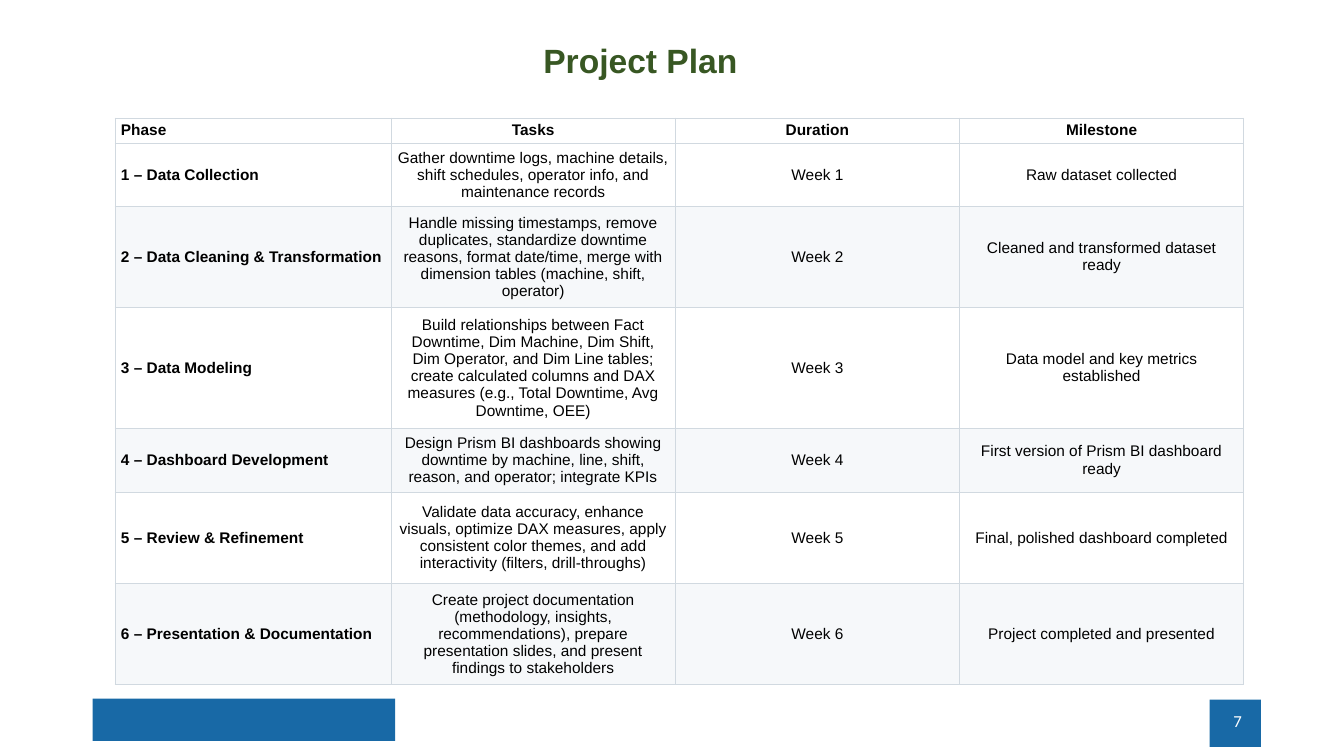
from dataclasses import dataclass

from lxml.etree import SubElement
from pptx import Presentation
from pptx.dml.color import RGBColor
from pptx.enum.shapes import MSO_SHAPE as Preset
from pptx.enum.text import MSO_ANCHOR as Anchor, PP_ALIGN as Align
from pptx.oxml.ns import qn
from pptx.util import Pt

COLORS = {
    "title": "385723",
    "band": "1869A6",
    "text": "000000",
    "white": "FFFFFF",
    "stripe": "F6F8FA",
    "border": "D1D9E0",
}


@dataclass(frozen=True)
class Area:
    left: float
    top: float
    width: float
    height: float

    def points(self) -> tuple:
        return Pt(self.left), Pt(self.top), Pt(self.width), Pt(self.height)


@dataclass(frozen=True)
class PlanRow:
    height: float
    phase: str
    tasks: str
    duration: str
    milestone: str

    def texts(self) -> tuple:
        return self.phase, self.tasks, self.duration, self.milestone


BANDS = [Area(66.24, 499, 216, 30.24), Area(864, 499.68, 36.72, 33.84)]
TITLE_AREA = Area(380.88, 25.2, 154.8, 36)
NUMBER_AREA = Area(678.24, 500.4, 216, 28.8)
TABLE_AREA = Area(82.08, 84.24, 806.4, 404.64)
COLUMN_WIDTHS = [197.28, 203.04, 203.04, 203.04]
PLAN = [
    PlanRow(18, "Phase", "Tasks", "Duration", "Milestone"),
    PlanRow(45.36, "1 – Data Collection",
            "Gather downtime logs, machine details, shift schedules, operator info, "
            "and maintenance records",
            "Week 1", "Raw dataset collected"),
    PlanRow(72, "2 – Data Cleaning & Transformation",
            "Handle missing timestamps, remove duplicates, standardize downtime reasons, "
            "format date/time, merge with dimension tables (machine, shift, operator)",
            "Week 2", "Cleaned and transformed dataset ready"),
    PlanRow(86.4, "3 – Data Modeling",
            "Build relationships between Fact Downtime, Dim Machine, Dim Shift, "
            "Dim Operator, and Dim Line tables; create calculated columns and DAX "
            "measures (e.g., Total Downtime, Avg Downtime, OEE)",
            "Week 3", "Data model and key metrics established"),
    PlanRow(45.36, "4 – Dashboard Development",
            "Design Prism BI dashboards showing downtime by machine, line, shift, "
            "reason, and operator; integrate KPIs",
            "Week 4", "First version of Prism BI dashboard ready"),
    PlanRow(65.52, "5 – Review & Refinement",
            "Validate data accuracy, enhance visuals, optimize DAX measures, apply "
            "consistent color themes, and add interactivity (filters, drill-throughs)",
            "Week 5", "Final, polished dashboard completed"),
    PlanRow(72, "6 – Presentation & Documentation",
            "Create project documentation (methodology, insights, recommendations), "
            "prepare presentation slides, and present findings to stakeholders",
            "Week 6", "Project completed and presented"),
]


def color(name: str) -> RGBColor:
    return RGBColor.from_string(COLORS[name])


def set_all(target, values: dict) -> None:
    for name, value in values.items():
        setattr(target, name, value)


def write(frame, text: str, align, ink: str, font: dict) -> None:
    para = frame.paragraphs[0]
    para.alignment = align
    span = para.add_run()
    span.text = text
    set_all(span.font, font)
    span.font.color.rgb = color(ink)


def add_band(page, area: Area) -> None:
    box = page.shapes.add_shape(Preset.RECTANGLE, *area.points())
    box.shadow.inherit = False
    box.fill.solid()
    box.fill.fore_color.rgb = color("band")
    box.line.fill.background()


def add_title(page) -> None:
    title = page.shapes.title
    set_all(title, dict(zip(("left", "top", "width", "height"), TITLE_AREA.points())))
    set_all(title.text_frame, {"word_wrap": False, "vertical_anchor": Anchor.TOP})
    write(title.text_frame, "Project Plan", Align.LEFT, "title",
          {"name": "Arial", "size": Pt(24), "bold": True})


def add_page_number(page) -> None:
    box = page.shapes.add_textbox(*NUMBER_AREA.points())
    set_all(box.text_frame, {"word_wrap": True, "vertical_anchor": Anchor.MIDDLE})
    write(box.text_frame, "7", Align.RIGHT, "white", {"name": "Calibri", "size": Pt(12)})


def add_borders(cell) -> None:
    properties = cell._tc.get_or_add_tcPr()
    for position, side in enumerate(("lnL", "lnR", "lnT", "lnB")):
        line = SubElement(properties, qn(f"a:{side}"), w=str(Pt(0.48)))
        fill = SubElement(line, qn("a:solidFill"))
        SubElement(fill, qn("a:srgbClr"), val=COLORS["border"])
        properties.insert(position, line)


def add_plan(page) -> None:
    frame = page.shapes.add_table(len(PLAN), len(COLUMN_WIDTHS), *TABLE_AREA.points())
    table = frame.table
    set_all(table, {"first_row": False, "horz_banding": False})
    for column, width in zip(table.columns, COLUMN_WIDTHS):
        column.width = Pt(width)
    cell_format = {
        "vertical_anchor": Anchor.MIDDLE,
        "margin_left": Pt(4.32), "margin_right": Pt(4.32),
        "margin_top": Pt(2.16), "margin_bottom": Pt(2.16),
    }
    for row_index, row in enumerate(PLAN):
        table.rows[row_index].height = Pt(row.height)
        striped = row_index > 0 and row_index % 2 == 0
        for column_index, text in enumerate(row.texts()):
            cell = table.cell(row_index, column_index)
            set_all(cell, cell_format)
            cell.fill.solid()
            cell.fill.fore_color.rgb = color("stripe" if striped else "white")
            add_borders(cell)
            write(cell.text_frame, text,
                  Align.CENTER if column_index else Align.LEFT, "text",
                  {"name": "Arial", "size": Pt(11),
                   "bold": row_index == 0 or column_index == 0})


def main() -> None:
    deck = Presentation()
    set_all(deck, {"slide_width": Pt(960), "slide_height": Pt(540)})
    page = deck.slides.add_slide(deck.slide_layouts.get_by_name("Title Only"))

    # Footer bands and page number
    for area in BANDS:
        add_band(page, area)
    add_page_number(page)

    # Heading and plan table
    add_title(page)
    add_plan(page)

    deck.save("out.pptx")


if __name__ == "__main__":
    main()
